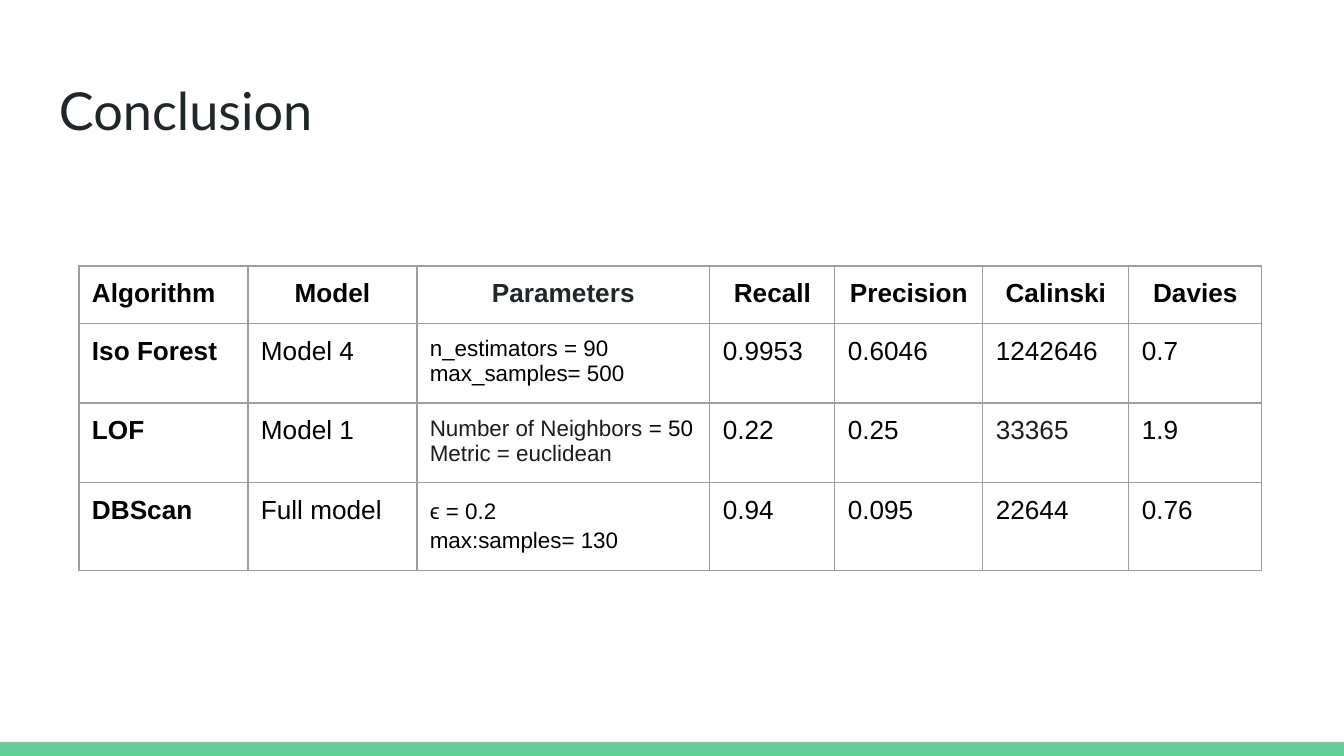
from dataclasses import dataclass
from typing import NamedTuple

from lxml.etree import SubElement
from pptx import Presentation
from pptx.dml.color import RGBColor as RGB
from pptx.enum.shapes import MSO_SHAPE as Shape
from pptx.enum.text import MSO_ANCHOR as Anchor, PP_ALIGN as Align
from pptx.oxml.ns import qn
from pptx.util import Emu, Pt

EMU_PER_PX = 914400 / 134.4


def px(length: int) -> Emu:
    return Emu(round(length * EMU_PER_PX))


@dataclass(frozen=True)
class Theme:
    accent: str = "63D297"
    heading: str = "202729"
    black: str = "000000"
    soft_black: str = "1D1C1D"
    border: str = "9E9E9E"
    title_font: str = "Lato"
    body_font: str = "Arial"
    title_size: float = 28
    body_size: float = 14
    small_size: float = 12
    border_width: float = 0.75


THEME = Theme()
INSET = 13


class Run(NamedTuple):
    text: str
    color: str = THEME.black


@dataclass(frozen=True)
class Entry:
    """One table cell: lines of runs sharing a style."""
    lines: tuple[tuple[Run, ...], ...]
    size: float = THEME.body_size
    bold: bool = False
    align: Align = Align.LEFT
    spacing: float = 1.0


def plain(text: str, color: str = THEME.black) -> Entry:
    return Entry(((Run(text, color),),))


def strong(text: str, color: str = THEME.black, align: Align = Align.LEFT) -> Entry:
    return Entry(((Run(text, color),),), bold=True, align=align)


def heading(text: str, color: str = THEME.black) -> Entry:
    return strong(text, color, Align.CENTER)


def settings(*lines: tuple[Run, ...], spacing: float = 1.0) -> Entry:
    return Entry(lines, size=THEME.small_size, spacing=spacing)


def add_run(paragraph, run: Run, font: str, size: float, bold: bool = False) -> None:
    part = paragraph.add_run()
    part.text = run.text
    part.font.name = font
    part.font.size = Pt(size)
    part.font.bold = bold
    part.font.color.rgb = RGB.from_string(run.color)


def set_borders(cell) -> None:
    properties = cell._tc.get_or_add_tcPr()
    for side in ("a:lnL", "a:lnR", "a:lnT", "a:lnB"):
        line = SubElement(properties, qn(side), w=str(Pt(THEME.border_width)))
        fill = SubElement(line, qn("a:solidFill"))
        SubElement(fill, qn("a:srgbClr"), val=THEME.border)


def fill_cell(cell, entry: Entry) -> None:
    cell.margin_left = cell.margin_right = px(INSET)
    cell.margin_top = cell.margin_bottom = px(INSET)
    cell.vertical_anchor = Anchor.TOP
    set_borders(cell)
    cell.fill.background()
    frame = cell.text_frame
    for index, line in enumerate(entry.lines):
        paragraph = frame.add_paragraph() if index else frame.paragraphs[0]
        paragraph.alignment = entry.align
        paragraph.line_spacing = entry.spacing
        for run in line:
            add_run(paragraph, run, THEME.body_font, entry.size, entry.bold)


def add_title(slide, text: str) -> None:
    frame = slide.shapes.add_textbox(px(46), px(65), px(1252), px(85)).text_frame
    frame.word_wrap = True
    frame.vertical_anchor = Anchor.TOP
    frame.margin_left = frame.margin_right = px(INSET)
    frame.margin_top = frame.margin_bottom = px(INSET)
    add_run(frame.paragraphs[0], Run(text, THEME.heading), THEME.title_font, THEME.title_size)


def add_results(slide, rows: list[list[Entry]], widths: list[int], heights: list[int]) -> None:
    table = slide.shapes.add_table(len(rows), len(widths), px(79), px(266),
                                   px(sum(widths)), px(sum(heights))).table
    table.first_row = table.horz_banding = False
    for column, width in zip(table.columns, widths):
        column.width = px(width)
    for row, height, entries in zip(table.rows, heights, rows):
        row.height = px(height)
        for cell, entry in zip(row.cells, entries):
            fill_cell(cell, entry)


# Content of the results table
SOFT = THEME.soft_black
RESULTS = [
    [strong("Algorithm"), heading("Model"), heading("Parameters", THEME.heading),
     *map(heading, ("Recall", "Precision", "Calinski", "Davies"))],
    [strong("Iso Forest"), plain("Model 4"),
     settings((Run("n_estimators = 90"),), (Run("max_samples= 500"),)),
     *map(plain, ("0.9953", "0.6046", "1242646", "0.7"))],
    [strong("LOF"), plain("Model 1"),
     settings((Run("Number of Neighbors", SOFT), Run(" = 50")),
              (Run("Metric = euclidean", SOFT),)),
     plain("0.22"), plain("0.25"), plain("33365", SOFT), plain("1.9")],
    [strong("DBScan"), plain("Full model"),
     settings((Run("ϵ = 0.2"),), (Run("max:samples= 130"),), spacing=1.15),
     *map(plain, ("0.94", "0.095", "22644", "0.76"))],
]
COLUMN_WIDTHS = [169, 169, 293, 125, 148, 146, 133]
ROW_HEIGHTS = [56, 77, 77, 84]


def main() -> None:
    deck = Presentation()
    deck.slide_width, deck.slide_height = px(1344), px(756)
    slide = deck.slides.add_slide(deck.slide_layouts[6])

    # Footer band
    band = slide.shapes.add_shape(Shape.RECTANGLE, px(0), px(742), px(1344), px(14))
    band.shadow.inherit = False
    band.fill.solid()
    band.fill.fore_color.rgb = RGB.from_string(THEME.accent)
    band.line.fill.background()

    # Title and results
    add_title(slide, "Conclusion")
    add_results(slide, RESULTS, COLUMN_WIDTHS, ROW_HEIGHTS)

    deck.save("out.pptx")


if __name__ == "__main__":
    main()
